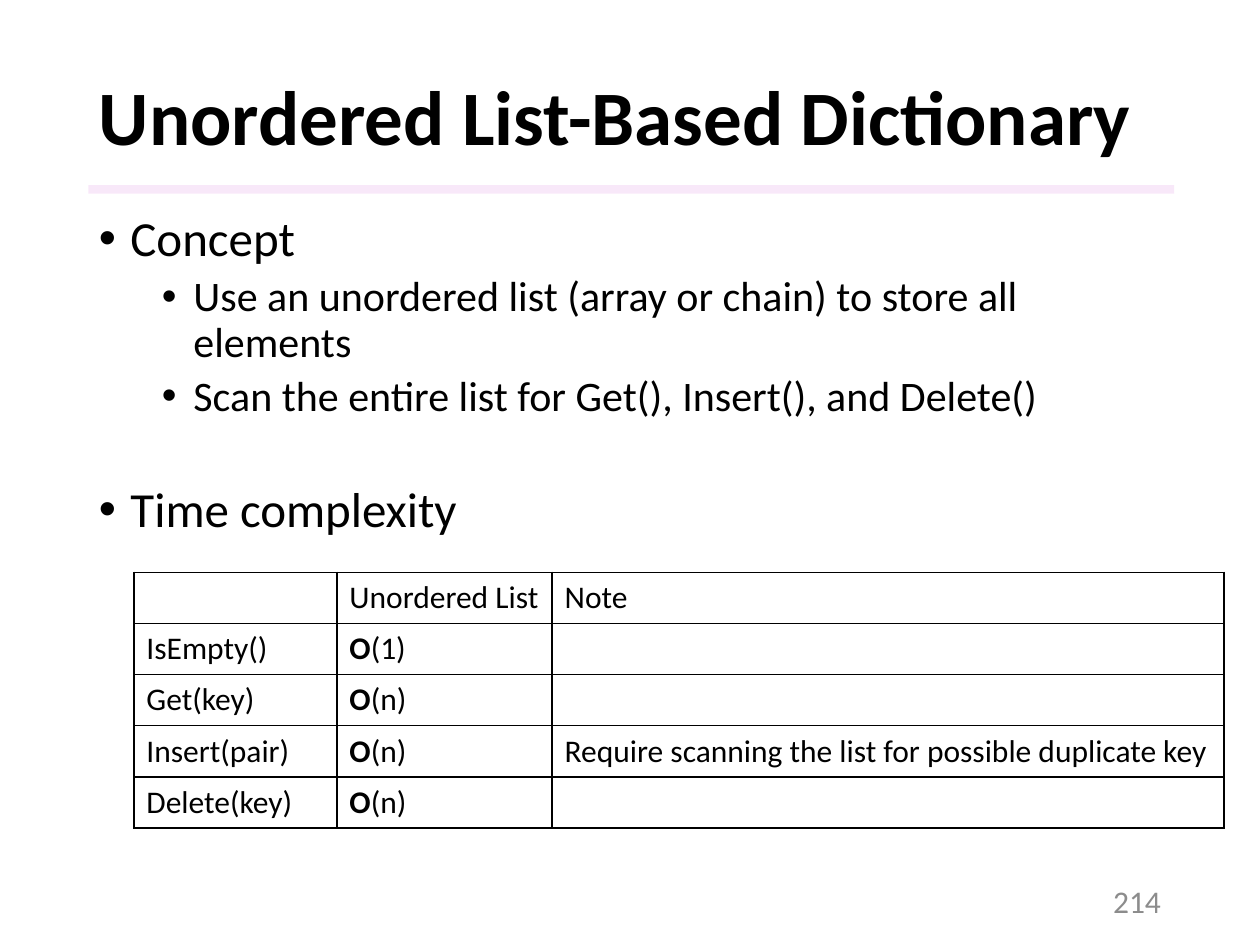
from lxml.etree import SubElement
from pptx import Presentation
from pptx.dml.color import RGBColor
from pptx.enum.shapes import MSO_SHAPE as SHAPE
from pptx.enum.text import MSO_ANCHOR as ANCHOR, PP_ALIGN as ALIGN
from pptx.oxml.ns import qn
from pptx.util import Pt

BULLETS = [
    ("Concept", 0, 0),
    ("Use an unordered list (array or chain) to store all elements", 1, 5),
    ("Scan the entire list for Get(), Insert(), and Delete()", 1, 5),
    ("Time complexity", 0, 37),
]
COLUMNS = [116, 123, 384]
ROW_HEIGHT = 29.25
ROWS = [
    ("", "Unordered List", "Note"),
    ("IsEmpty()", "(1)", ""),
    ("Get(key)", "(n)", ""),
    ("Insert(pair)", "(n)", "Require scanning the list for possible duplicate key"),
    ("Delete(key)", "(n)", ""),
]


def rgb(value):
    """Turn a hex string into a colour."""
    return RGBColor.from_string(value)


def add_text(p, text, size=18, color="000000", bold=False, align=None, spacing=None, before=0):
    """Append a formatted run to a paragraph."""
    p.alignment = align
    p.line_spacing = spacing
    p.space_before = Pt(before)
    r = p.add_run()
    r.text = text
    r.font.name = "Calibri"
    r.font.size = Pt(size)
    r.font.bold = bold
    r.font.color.rgb = rgb(color)


def add_box(s, x, y, w, h, anchor=ANCHOR.TOP):
    """Add a wrapping text box and return its text frame."""
    tf = s.shapes.add_textbox(Pt(x), Pt(y), Pt(w), Pt(h)).text_frame
    tf.word_wrap = True
    tf.vertical_anchor = anchor
    return tf


def add_rule(s, x, y, w, h, color, alpha):
    """Add a translucent bar without an outline."""
    sp = s.shapes.add_shape(SHAPE.RECTANGLE, Pt(x), Pt(y), Pt(w), Pt(h))
    sp.shadow.inherit = False
    sp.fill.solid()
    sp.fill.fore_color.rgb = rgb(color)
    sp.line.fill.background()
    fill_color = sp.fill._xPr.find(qn("a:solidFill"))[0]
    SubElement(fill_color, qn("a:alpha"), val=str(alpha * 1000))


def add_bullets(tf, items):
    """Fill a text frame with bulleted paragraphs at two levels."""
    for i, (text, level, before) in enumerate(items):
        p = tf.add_paragraph() if i else tf.paragraphs[0]
        p.level = level
        pPr = p._p.get_or_add_pPr()
        pPr.set("marL", str(Pt(18 + 36 * level)))
        pPr.set("indent", str(Pt(-18)))
        SubElement(pPr, qn("a:buFont"), typeface="Arial")
        SubElement(pPr, qn("a:buChar"), char="•")
        add_text(p, text, size=28 - 4 * level, spacing=0.9, before=before)


def add_borders(cell, color, width):
    """Draw all four borders of a cell and clear its fill."""
    tcPr = cell._tc.get_or_add_tcPr()
    for side in ("lnL", "lnR", "lnT", "lnB"):
        ln = SubElement(tcPr, qn(f"a:{side}"), w=str(Pt(width)))
        SubElement(SubElement(ln, qn("a:solidFill")), qn("a:srgbClr"), val=color)
    cell.fill.background()


def add_table(s, x, y):
    """Add the table of operation costs."""
    height = ROW_HEIGHT * len(ROWS)
    table = s.shapes.add_table(len(ROWS), len(COLUMNS), Pt(x), Pt(y),
                               Pt(sum(COLUMNS)), Pt(height)).table
    table.first_row = table.horz_banding = False
    for column, width in zip(table.columns, COLUMNS):
        column.width = Pt(width)
    for i, row in enumerate(ROWS):
        table.rows[i].height = Pt(ROW_HEIGHT)
        for j, text in enumerate(row):
            cell = table.cell(i, j)
            add_borders(cell, "000000", 1)
            p = cell.text_frame.paragraphs[0]
            if i and j == 1:
                add_text(p, "O", bold=True)
            if text:
                add_text(p, text)


def main():
    """Build the slide and save it."""
    prs = Presentation()
    prs.slide_width, prs.slide_height = Pt(720), Pt(540)
    s = prs.slides.add_slide(prs.slide_layouts[6])
    add_rule(s, 50.5, 105.75, 620.5, 5, "F3D2F4", 50)
    title = add_box(s, 49.5, 28.75, 621, 80, ANCHOR.MIDDLE)
    add_text(title.paragraphs[0], "Unordered List-Based Dictionary", size=44, bold=True, spacing=0.9)
    add_bullets(add_box(s, 49.5, 118.75, 621, 402), BULLETS)
    number = add_box(s, 508.5, 500.5, 162, 28.75, ANCHOR.MIDDLE)
    add_text(number.paragraphs[0], "214", color="8C8C8C", align=ALIGN.RIGHT)
    add_table(s, 76.5, 327)
    prs.save("out.pptx")


if __name__ == "__main__":
    main()
